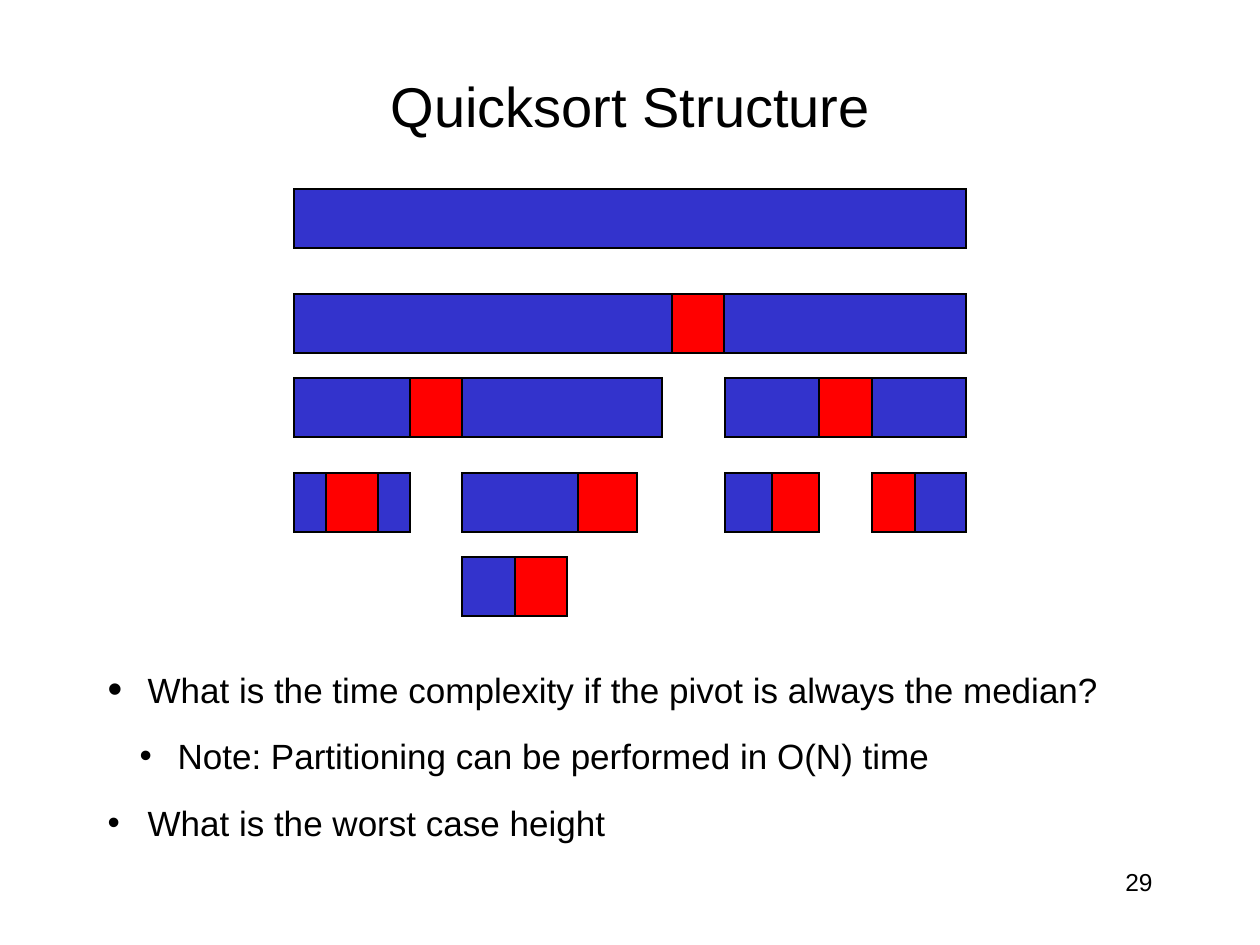
from dataclasses import dataclass

from lxml import etree
from pptx import Presentation
from pptx import util as u
from pptx.dml.color import RGBColor
from pptx.enum import text
from pptx.oxml import ns

PX_PER_INCH = 126


@dataclass(frozen=True)
class Theme:
    font: str = "Arial"
    ink: str = "000000"
    segment_fill: str = "3333CC"
    pivot_fill: str = "FF0000"
    border_points: float = 1.08
    title_size: int = 32
    body_size: int = 20
    number_size: int = 14
    body_gap: int = 14


@dataclass(frozen=True)
class Bar:
    """One array segment; pivot is the index of its pivot cell."""
    left: int
    top: int
    widths: tuple[int, ...]
    pivot: int | None = None


@dataclass(frozen=True)
class Bullet:
    wording: str
    margin: int
    hanging: int
    bullet_percent: int = 100


THEME = Theme()
BAR_HEIGHT = 59
LEVEL_TOPS = (189, 294, 378, 473, 557)

BARS = (
    Bar(294, LEVEL_TOPS[0], (672,)),
    Bar(294, LEVEL_TOPS[1], (378, 52, 242), 1),
    Bar(294, LEVEL_TOPS[2], (116, 52, 200), 1),
    Bar(725, LEVEL_TOPS[2], (94, 53, 94), 1),
    Bar(294, LEVEL_TOPS[3], (32, 52, 32), 1),
    Bar(462, LEVEL_TOPS[3], (116, 59), 1),
    Bar(725, LEVEL_TOPS[3], (47, 47), 1),
    Bar(872, LEVEL_TOPS[3], (43, 51), 0),
    Bar(462, LEVEL_TOPS[4], (53, 52), 1),
)

BULLETS = (
    Bullet("What is the time complexity if the pivot is always the median?", 40, 40, 120),
    Bullet("Note: Partitioning can be performed in O(N) time", 70, 38),
    Bullet("What is the worst case height", 40, 40),
)


def px(length: int) -> u.Emu:
    return u.Emu(round(length * u.Inches(1) / PX_PER_INCH))


def set_values(target, values: dict) -> None:
    for name, value in values.items():
        setattr(target, name, value)


def place(shape, left: int, top: int, width: int, height: int) -> None:
    set_values(shape, {"left": px(left), "top": px(top),
                       "width": px(width), "height": px(height)})


def write(paragraph, wording: str, size: int, alignment) -> None:
    paragraph.text = wording
    paragraph.alignment = alignment
    set_values(paragraph.font, {"name": THEME.font, "size": u.Pt(size)})
    paragraph.font.color.rgb = RGBColor.from_string(THEME.ink)


def add_borders(cell) -> None:
    properties = cell._tc.get_or_add_tcPr()
    for side in ("lnL", "lnR", "lnT", "lnB"):
        line = etree.SubElement(properties, ns.qn(f"a:{side}"),
                                w=str(u.Pt(THEME.border_points)))
        fill = etree.SubElement(line, ns.qn("a:solidFill"))
        etree.SubElement(fill, ns.qn("a:srgbClr"), val=THEME.ink)


def draw_bar(slide, bar: Bar) -> None:
    frame = slide.shapes.add_table(1, len(bar.widths), px(bar.left), px(bar.top),
                                   px(sum(bar.widths)), px(BAR_HEIGHT))
    table = frame.table
    set_values(table, {"first_row": False, "horz_banding": False})
    for index, width in enumerate(bar.widths):
        table.columns[index].width = px(width)
        cell = table.cell(0, index)
        add_borders(cell)
        cell.fill.solid()
        color = THEME.pivot_fill if index == bar.pivot else THEME.segment_fill
        cell.fill.fore_color.rgb = RGBColor.from_string(color)


def draw_bullet(paragraph, bullet: Bullet) -> None:
    properties = paragraph._p.get_or_add_pPr()
    properties.set("marL", str(px(bullet.margin)))
    properties.set("indent", str(-px(bullet.hanging)))
    etree.SubElement(properties, ns.qn("a:buSzPct"), val=str(bullet.bullet_percent * 1000))
    etree.SubElement(properties, ns.qn("a:buFont"), typeface=THEME.font)
    etree.SubElement(properties, ns.qn("a:buChar"), char="•")
    write(paragraph, bullet.wording, THEME.body_size, text.PP_ALIGN.LEFT)


def main() -> None:
    presentation = Presentation()
    set_values(presentation, {"slide_width": u.Inches(10), "slide_height": u.Inches(7.5)})
    slide = presentation.slides.add_slide(presentation.slide_layouts[1])

    # Title
    title = slide.shapes.title
    place(title, 95, 53, 1071, 105)
    title.text_frame.vertical_anchor = text.MSO_ANCHOR.MIDDLE
    write(title.text_frame.paragraphs[0], "Quicksort Structure",
          THEME.title_size, text.PP_ALIGN.CENTER)

    # Recursion levels
    for bar in BARS:
        draw_bar(slide, bar)

    # Questions
    body = slide.placeholders[1]
    place(body, 95, 651, 1071, 192)
    frame = body.text_frame
    set_values(frame, {"margin_top": px(17), "word_wrap": True,
                       "auto_size": text.MSO_AUTO_SIZE.NONE})
    for index, bullet in enumerate(BULLETS):
        paragraph = frame.add_paragraph() if index else frame.paragraphs[0]
        paragraph.space_before = u.Pt(THEME.body_gap if index else 0)
        draw_bullet(paragraph, bullet)

    # Page number
    number = slide.shapes.add_textbox(px(903), px(861), px(262), px(63))
    number.text_frame.word_wrap = True
    write(number.text_frame.paragraphs[0], "29", THEME.number_size, text.PP_ALIGN.RIGHT)

    presentation.save("out.pptx")


if __name__ == "__main__":
    main()
